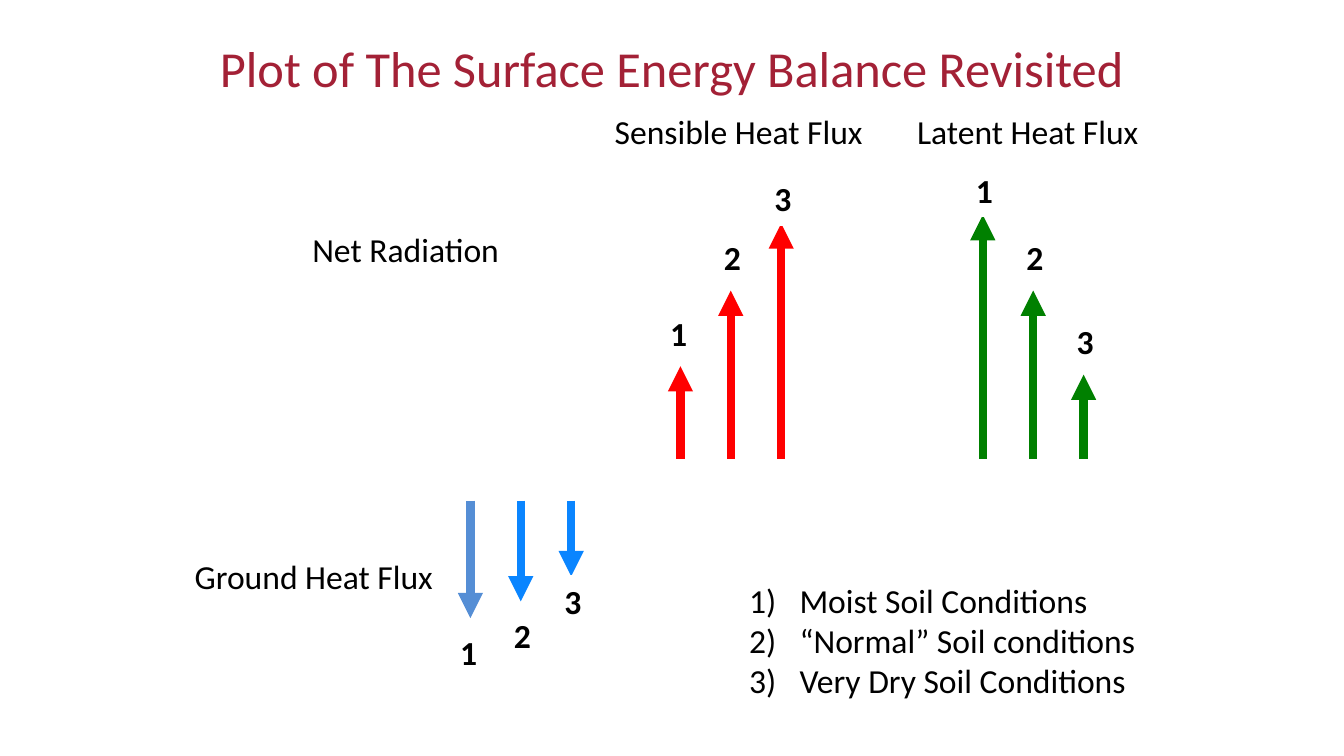
from lxml.etree import SubElement
from pptx import Presentation
from pptx.dml.color import RGBColor
from pptx.enum.shapes import MSO_CONNECTOR as Connector, MSO_SHAPE as Shape
from pptx.enum.text import MSO_ANCHOR as Anchor, MSO_AUTO_SIZE as AutoSize, PP_ALIGN as Align
from pptx.oxml.ns import qn
from pptx.util import Pt

PX = 7620  # EMU per px, 120 px to the inch
ARROW_STEP = 60
LABEL_SIZE = (44, 61)
COLORS = {
    "title": "A32136", "text": "000000", "box": "FFFFFF",
    "sensible": "FF0000", "latent": "008000",
    "ground": "0A85FF", "moist ground": "558ED5",
}
# Flux: first arrow x, base y, colours, then (tip y, label left, label top) per condition
FLUXES = [
    (810, 546, ["sensible"] * 3, [(436, 786, 366), (346, 850, 276), (266, 910, 206)]),
    (1170, 546, ["latent"] * 3, [(256, 1150, 196), (346, 1210, 276), (446, 1270, 376)]),
    (560, 596, ["moist ground", "ground", "ground"],
     [(736, 536, 746), (716, 600, 726), (686, 660, 686)]),
]
CAPTIONS = [
    ("Net Radiation", (360, 266, 250, 61)),
    ("Ground Heat Flux", (220, 656, 319, 61)),
    ("Sensible Heat Flux", (720, 126, 331, 61)),
    ("Latent Heat Flux", (1080, 126, 298, 61)),
]
CONDITIONS = ["Moist Soil Conditions", "“Normal” Soil conditions", "Very Dry Soil Conditions"]


def color(name):
    return RGBColor.from_string(COLORS[name])


def apply(target, formats):
    for name, value in formats.items():
        setattr(target, name, value)


def write(para, text, size, color_name, bold=False):
    span = para.add_run()
    span.text = text
    apply(span.font, {"name": "Calibri", "size": Pt(size), "bold": bold})
    span.font.color.rgb = color(color_name)


def add_title(page, text):
    title = page.shapes.title
    apply(title, {"left": 80 * PX, "top": 36 * PX, "width": 1440 * PX, "height": 89 * PX})
    apply(title.text_frame, {"vertical_anchor": Anchor.MIDDLE, "word_wrap": True,
                             "auto_size": AutoSize.NONE})
    para = title.text_frame.paragraphs[0]
    para.alignment = Align.CENTER
    write(para, text, 36, "title")


def add_box(page, lines, place, bold=False):
    """Add a translucent white box with one paragraph per line."""
    box = page.shapes.add_shape(Shape.RECTANGLE, *(n * PX for n in place))
    box.shadow.inherit = False
    box.fill.solid()
    box.fill.fore_color.rgb = color("box")
    fill_color = box.fill._xPr.find(qn("a:solidFill"))[0]
    SubElement(fill_color, qn("a:alpha"), val="70000")
    box.line.color.rgb = color("box")
    box.line.width = Pt(2.25)
    frame = box.text_frame
    apply(frame, {"word_wrap": False, "vertical_anchor": Anchor.TOP,
                  "auto_size": AutoSize.SHAPE_TO_FIT_TEXT})
    for number, line in enumerate(lines):
        para = frame.add_paragraph() if number else frame.paragraphs[0]
        para.alignment = Align.LEFT
        write(para, line, 24, "text", bold)
    return box


def add_arrow(page, x, base, tip, color_name):
    arrow = page.shapes.add_connector(
        Connector.STRAIGHT, x * PX, base * PX, x * PX, tip * PX)
    arrow.line.color.rgb = color(color_name)
    arrow.line.width = Pt(6)
    SubElement(arrow.line._get_or_add_ln(), qn("a:tailEnd"), type="triangle")
    SubElement(arrow._element.spPr, qn("a:effectLst"))


def add_flux(page, first_x, base, color_names, marks):
    for index, (tip, left, top) in enumerate(marks):
        add_arrow(page, first_x + index * ARROW_STEP, base, tip, color_names[index])
    for number, (_, left, top) in enumerate(marks, 1):
        add_box(page, [str(number)], (left, top, *LABEL_SIZE), bold=True)


def add_numbered_list(page, lines, place):
    box = add_box(page, lines, place)
    for para in box.text_frame.paragraphs:
        properties = para._p.get_or_add_pPr()
        properties.set("marL", str(60 * PX))
        properties.set("indent", str(-60 * PX))
        SubElement(properties, qn("a:buFont"), typeface="+mj-lt")
        SubElement(properties, qn("a:buAutoNum"), type="arabicParenR")


def main():
    deck = Presentation()
    apply(deck, {"slide_width": 1600 * PX, "slide_height": 900 * PX})
    page = deck.slides.add_slide(deck.slide_layouts.get_by_name("Title Only"))
    add_title(page, "Plot of The Surface Energy Balance Revisited")
    for text, place in CAPTIONS:
        add_box(page, [text], place)
    for flux in FLUXES:
        add_flux(page, *flux)
    add_numbered_list(page, CONDITIONS, (880, 684, 500, 160))
    deck.save("out.pptx")


if __name__ == "__main__":
    main()
